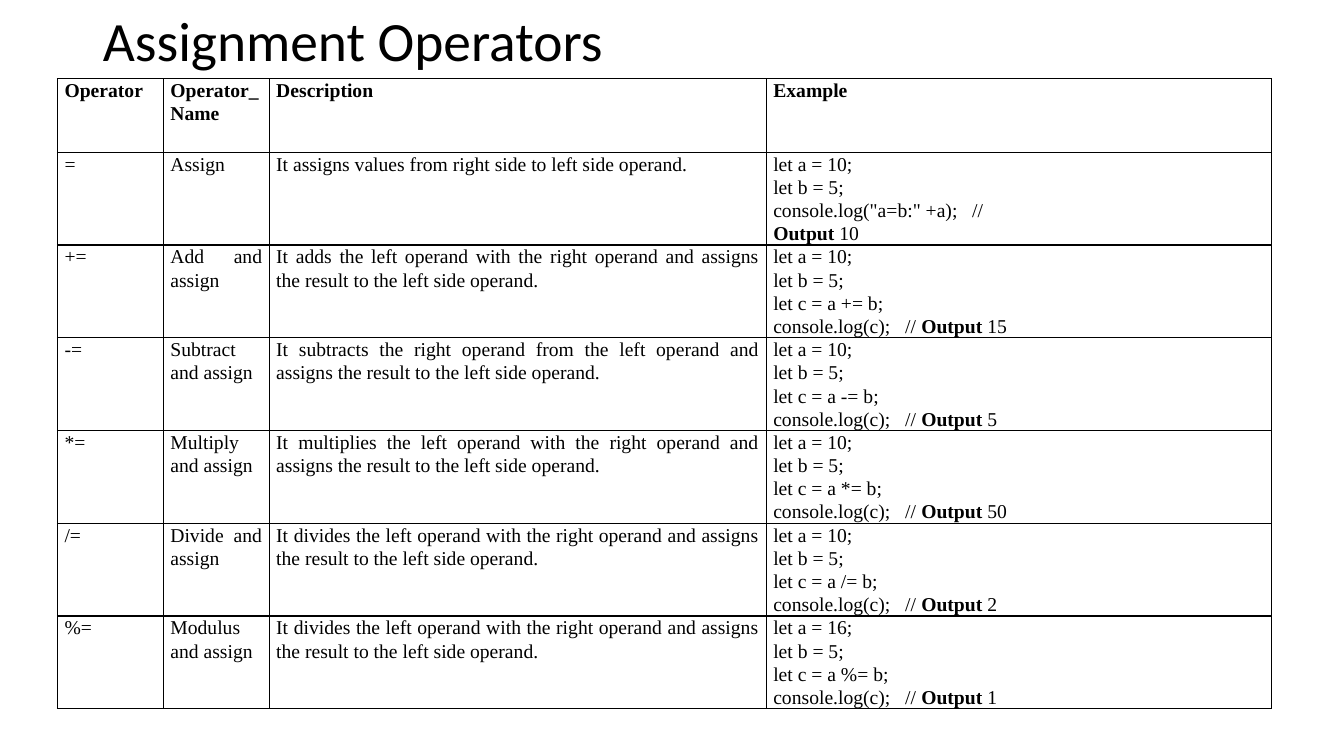
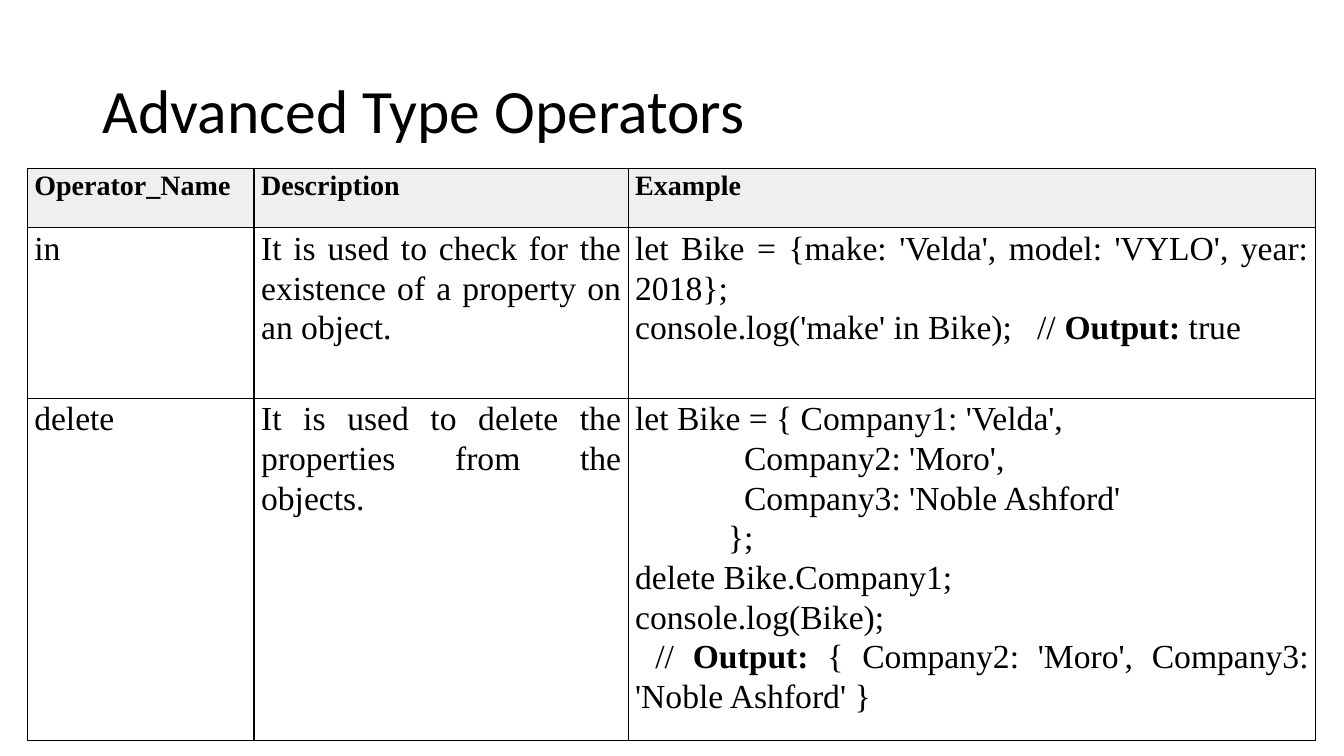
from lxml import etree
from pptx import Presentation
from pptx.dml.color import RGBColor
from pptx.enum.text import MSO_ANCHOR, MSO_AUTO_SIZE, PP_ALIGN
from pptx.oxml.ns import qn
from pptx.util import Inches, Pt

BLACK, WHITE, GREY = "000000", "FFFFFF", "EFEFEF"
TITLE_FONT, TABLE_FONT = "Calibri", "Times New Roman"
BOLD = "**"  # marks the start and end of bold text


def arithmetic_example(operator, result, a=10):
    return [f"let a = {a};", "let b = 5;", f"let c = a {operator} b;",
            f"console.log(c);   // {BOLD}Output {BOLD}{result}"]


def assigns(action):
    return f"It {action} operand and assigns the result to the left side operand."


# Each example line is a string, or a (first-line indent in inches, string) pair.
SLIDES = [
    dict(
        title="Assignment Operators", title_box=(0.92, 0.11, 11.5, 0.65), title_size=39.6,
        origin=(0.57, 0.78), cols=[1.05, 1.05, 4.93, 5.01], heights=[0.73] + [0.91] * 6,
        head_size=14, body_size=14, head_fill=WHITE,
        head=["Operator", "Operator_Name", "Description", "Example"],
        body=[
            ["=", "Assign", "It assigns values from right side to left side operand.",
             ["let a = 10;", "let b = 5;", 'console.log("a=b:" +a);   //',
              f"{BOLD}Output {BOLD}10"]],
            ["+=", "Add and assign", assigns("adds the left operand with the right"),
             arithmetic_example("+=", 15)],
            ["-=", "Subtract and assign", assigns("subtracts the right operand from the left"),
             arithmetic_example("-=", 5)],
            ["*=", "Multiply and assign", assigns("multiplies the left operand with the right"),
             arithmetic_example("*=", 50)],
            ["/=", "Divide and assign", assigns("divides the left operand with the right"),
             arithmetic_example("/=", 2)],
            ["%=", "Modulus and assign", assigns("divides the left operand with the right"),
             arithmetic_example("%=", 1, a=16)],
        ],
    ),
    dict(
        title="Advanced Type Operators", title_box=(0.92, 0.4, 11.5, 1.45), title_size=44,
        origin=(0.27, 1.67), cols=[2.25, 3.71, 6.82], heights=[0.59, 1.69, 3.4],
        head_size=20, body_size=24, head_fill=GREY,
        head=["Operator_Name", "Description", "Example"],
        body=[
            ["in", "It is used to check for the existence of a property on an object.",
             ["let Bike = {make: 'Velda', model: 'VYLO', year: 2018};",
              f"console.log('make' in Bike);   // {BOLD}Output: {BOLD}true"]],
            ["delete", "It is used to delete the properties from the objects.",
             ["let Bike = { Company1: 'Velda',",
              (1.08, "Company2: 'Moro',"),
              (1.08, "Company3: 'Noble Ashford'"),
              (0.92, "};"),
              "delete Bike.Company1;",
              "console.log(Bike);",
              (0.2, f"// {BOLD}Output: {BOLD}{{ Company2: 'Moro', Company3: 'Noble Ashford' }}")]],
        ],
    ),
]


def rgb(color):
    return RGBColor.from_string(color)


def write(tf, text, size=14, font=TABLE_FONT, bold=False, color=BLACK,
          align=PP_ALIGN.JUSTIFY, spacing=1.07):
    """Fill a text frame with one line or a list of lines."""
    tf.word_wrap = True
    for i, line in enumerate(text if isinstance(text, list) else [text]):
        indent, line = line if isinstance(line, tuple) else (0, line)
        p = tf.add_paragraph() if i else tf.paragraphs[0]
        p.alignment, p.line_spacing = align, spacing
        p.space_before = p.space_after = Pt(0)
        if indent:
            pPr = p._p.get_or_add_pPr()
            pPr.set("marL", "0")
            pPr.set("indent", str(Inches(indent)))
        for j, part in enumerate(line.split(BOLD)):
            if part:
                r = p.add_run()
                r.text = part
                r.font.name, r.font.size = font, Pt(size)
                r.font.bold = bold or j % 2 == 1
                r.font.color.rgb = rgb(color)


def add_borders(cell, color=BLACK, width=1):
    tcPr = cell._tc.get_or_add_tcPr()
    for i, side in enumerate(("lnL", "lnR", "lnT", "lnB")):
        ln = etree.Element(qn(f"a:{side}"), w=str(Pt(width)))
        fill = etree.SubElement(ln, qn("a:solidFill"))
        etree.SubElement(fill, qn("a:srgbClr"), val=color)
        tcPr.insert(i, ln)


def add_title(slide, text, box, size):
    s = slide.shapes.title
    s.left, s.top, s.width, s.height = map(Inches, box)
    tf = s.text_frame
    tf.auto_size = MSO_AUTO_SIZE.NONE
    tf.vertical_anchor = MSO_ANCHOR.MIDDLE
    write(tf, text, size=size, font=TITLE_FONT, align=PP_ALIGN.LEFT, spacing=0.9)


def add_operator_table(slide, d):
    rows, cols, heights = [d["head"]] + d["body"], d["cols"], d["heights"]
    box = map(Inches, (*d["origin"], sum(cols), sum(heights)))
    table = slide.shapes.add_table(len(rows), len(cols), *box).table
    table.first_row = table.horz_banding = False
    for column, width in zip(table.columns, cols):
        column.width = Inches(width)
    for i, (row, height) in enumerate(zip(rows, heights)):
        table.rows[i].height = Inches(height)
        is_head = i == 0
        for j, text in enumerate(row):
            cell = table.cell(i, j)
            cell.margin_left = cell.margin_right = Inches(0.07)
            cell.margin_top = cell.margin_bottom = 0
            cell.fill.solid()
            cell.fill.fore_color.rgb = rgb(d["head_fill"] if is_head else WHITE)
            add_borders(cell)
            write(cell.text_frame, text, bold=is_head,
                  size=d["head_size"] if is_head else d["body_size"])


def main():
    prs = Presentation()
    prs.slide_width, prs.slide_height = Inches(13.33), Inches(7.5)
    for d in SLIDES:
        slide = prs.slides.add_slide(prs.slide_layouts[5])
        add_title(slide, d["title"], d["title_box"], d["title_size"])
        add_operator_table(slide, d)
    prs.save("out.pptx")


if __name__ == "__main__":
    main()
